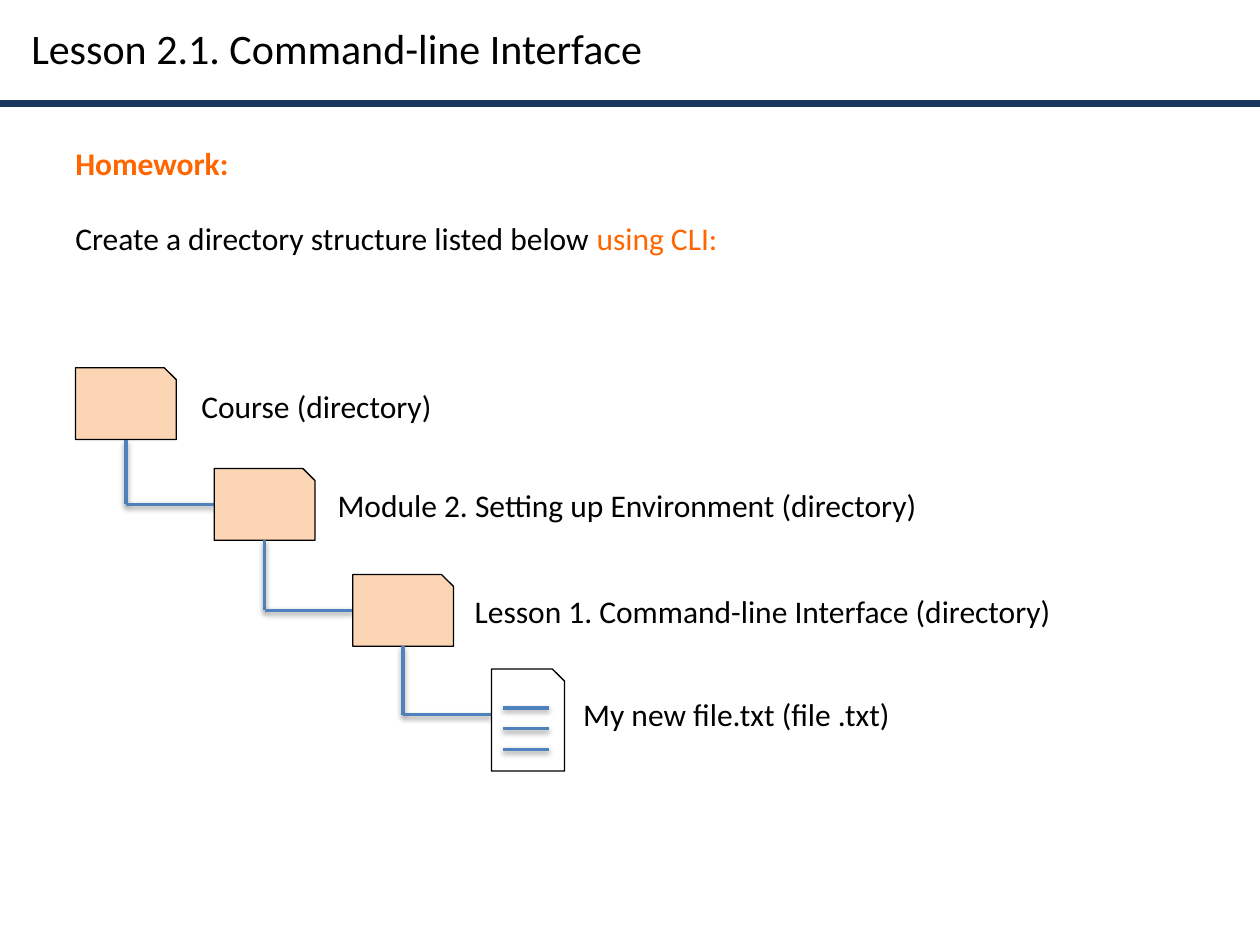
from dataclasses import dataclass

from lxml import etree
from pptx import Presentation
from pptx.dml.color import RGBColor
from pptx.enum.shapes import MSO_CONNECTOR, MSO_SHAPE
from pptx.oxml.ns import qn
from pptx.util import Pt

LINE = MSO_CONNECTOR.STRAIGHT
SNIP = MSO_SHAPE.SNIP_1_RECTANGLE


@dataclass(frozen=True)
class Theme:
    font: str = "Calibri"
    title: float = 24
    body: float = 18
    ink: str = "000000"
    accent: str = "FF6600"
    rule: str = "17375E"
    branch: str = "4F81BD"
    folder: str = "FCD5B5"
    paper: str = "FFFFFF"


THEME = Theme()
FOLDER = (57.6, 41)
FILE = (41.8, 58.3)
LEFT, STEP = 43.2, 79.2

# Icon top, label left, label top, label text; each level is one step deeper.
FOLDERS = [
    (210.2, 108, 217.4, "Course (directory)"),
    (267.8, 185.8, 274.3, "Module 2. Setting up Environment (directory)"),
    (328.3, 264.2, 334.8, "Lesson 1. Command-line Interface (directory)"),
]
LEAF = (382.3, 326.2, 393.8, "My new file.txt (file .txt)")
LEAF_JOIN = 408.4


def rgb(code):
    return RGBColor.from_string(code)


def style(font, size, color, bold=False):
    font.name = THEME.font
    font.size = Pt(size)
    font.bold = bold
    font.color.rgb = rgb(color)


def add_frame(slide, x, y, w, h, wrap=True):
    frame = slide.shapes.add_textbox(Pt(x), Pt(y), Pt(w), Pt(h)).text_frame
    frame.word_wrap = wrap
    return frame


def add_label(slide, x, y, w, h, text, size=THEME.body, wrap=True):
    para = add_frame(slide, x, y, w, h, wrap).paragraphs[0]
    para.text = text
    style(para.font, size, THEME.ink)


def add_line(slide, start, end, color=THEME.branch, width=2):
    """Draw a straight line, which keeps the theme's soft shadow."""
    line = slide.shapes.add_connector(LINE, *map(Pt, (*start, *end)))
    line.line.color.rgb = rgb(color)
    line.line.width = Pt(width)
    return line


def add_rule(slide):
    rule = add_line(slide, (0, 59), (720, 59), THEME.rule, 4)
    props = rule._element.find(qn("p:spPr"))
    etree.SubElement(props, qn("a:effectLst"))


def add_icon(slide, x, y, size, fill):
    icon = slide.shapes.add_shape(SNIP, *map(Pt, (x, y, *size)))
    icon.shadow.inherit = False
    icon.fill.solid()
    icon.fill.fore_color.rgb = rgb(fill)
    icon.line.color.rgb = rgb(THEME.ink)
    icon.line.width = Pt(0.75)


def add_branch(slide, x, top, end, join):
    """Run down from a folder, then right to its child."""
    add_line(slide, (x, top), (x, join))
    add_line(slide, (x, join), (end, join))


def add_task(slide):
    frame = add_frame(slide, 36, 78.5, 679, 138.2)
    head = frame.paragraphs[0]
    head.text = "Homework:"
    head.space_after = Pt(21.5)
    style(head.font, THEME.body, THEME.accent, True)
    task = frame.add_paragraph()
    for text, color in (
        ("Create a directory structure listed below ", THEME.ink),
        ("using CLI:", THEME.accent),
    ):
        run = task.add_run()
        run.text = text
        style(run.font, THEME.body, color)


def add_tree(slide):
    wide, high = FOLDER
    joins = [row[0] + high / 2 for row in FOLDERS[1:]] + [LEAF_JOIN]
    for level, (top, x, y, text) in enumerate(FOLDERS):
        left = LEFT + level * STEP
        add_icon(slide, left, top, FOLDER, THEME.folder)
        add_label(slide, x, y, 360, 29, text)
        add_branch(slide, left + wide / 2, top + high, left + STEP, joins[level])


def add_file(slide):
    top, x, y, text = LEAF
    left = LEFT + len(FOLDERS) * STEP
    add_icon(slide, left, top, FILE, THEME.paper)
    for row in range(3):
        level = top + 22.2 + row * 11.9
        add_line(slide, (left + 6.4, level), (left + 33.2, level))
    add_label(slide, x, y, 192.2, 29, text, wrap=False)


def main():
    deck = Presentation()
    deck.slide_width, deck.slide_height = Pt(720), Pt(540)
    slide = deck.slides.add_slide(deck.slide_layouts[6])
    add_rule(slide)
    add_label(slide, 10.8, 9.4, 383.8, 36, "Lesson 2.1. Command-line Interface", THEME.title)
    add_task(slide)
    add_tree(slide)
    add_file(slide)
    deck.save("out.pptx")


if __name__ == "__main__":
    main()
